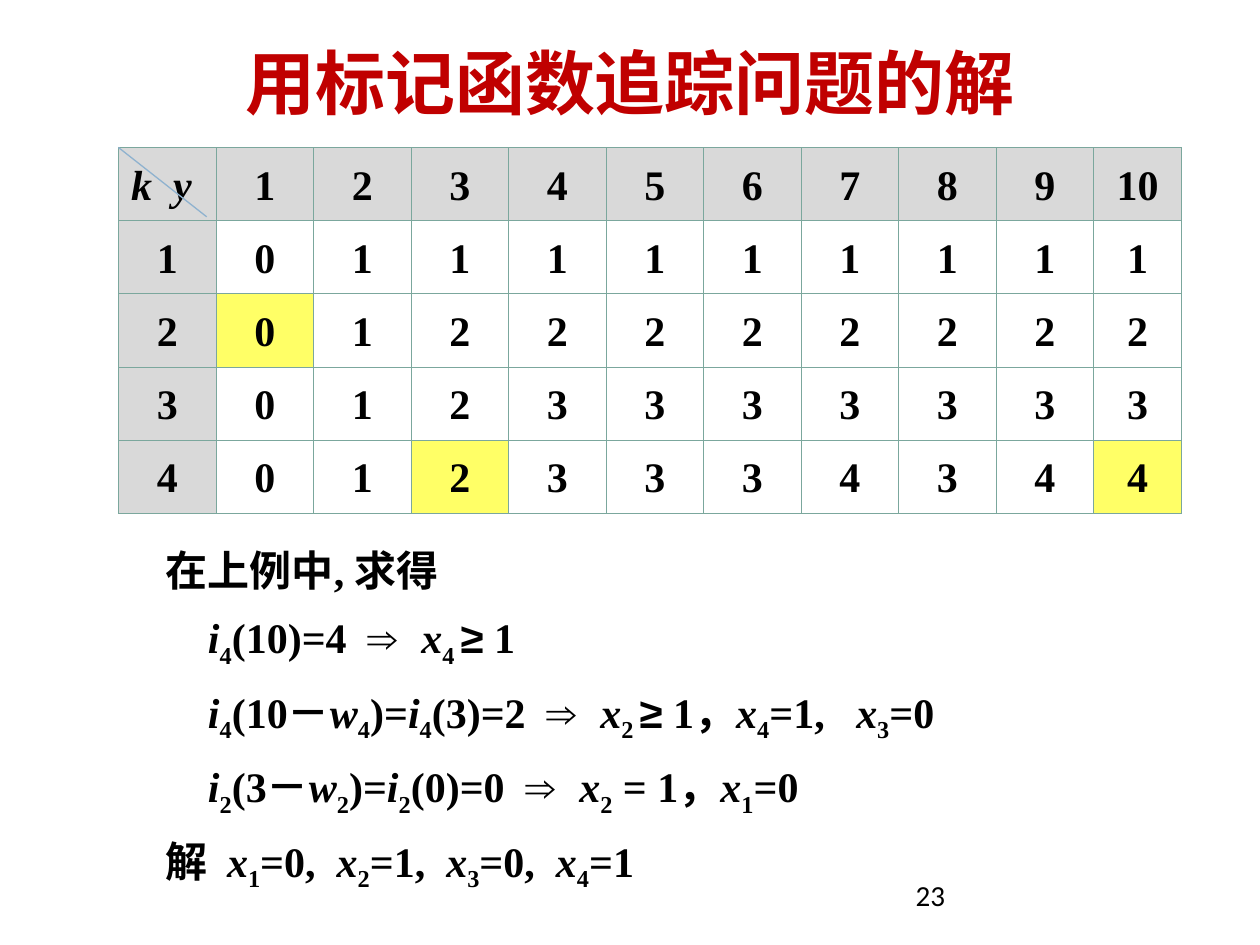
"""Build the slide that traces a knapsack solution with the marker function."""
from lxml.etree import SubElement
from pptx import Presentation
from pptx.dml.color import RGBColor
from pptx.enum.shapes import MSO_CONNECTOR
from pptx.enum.text import MSO_ANCHOR, PP_ALIGN
from pptx.oxml.ns import qn
from pptx.util import Pt

BLACK = RGBColor(0x00, 0x00, 0x00)
RED = RGBColor(0xC0, 0x00, 0x00)
GRAY = RGBColor(0xD9, 0xD9, 0xD9)
YELLOW = RGBColor(0xFF, 0xFF, 0x66)
GREEN = RGBColor(0x7B, 0xA7, 0x9D)
BLUE = RGBColor(0x8F, 0xB2, 0xCF)

TITLE = "用标记函数追踪问题的解"
PAGE_NUMBER = "23"
CORNER = "k  y"
MARKERS = [
    [0, 1, 1, 1, 1, 1, 1, 1, 1, 1],
    [0, 1, 2, 2, 2, 2, 2, 2, 2, 2],
    [0, 1, 2, 3, 3, 3, 3, 3, 3, 3],
    [0, 1, 2, 3, 3, 3, 4, 3, 4, 4],
]
TRACED = {(2, 1), (4, 3), (4, 10)}

# Each line is an indent and parts split by "|": "/" starts italics, "_" a subscript, "~" a symbol.
STEPS = [
    (0, "在上例中, 求得"),
    (24, "/i|_4|(10)=4  |~⇒  |/x|_4 |~≥| 1"),
    (24, "/i|_4|(10－|/w|_4|)=|/i|_4|(3)=2  |~⇒  |/x|_2 |~≥| 1，|/x|_4|=1,   |/x|_3|=0"),
    (24, "/i|_2|(3－|/w|_2|)=|/i|_2|(0)=0  |~⇒  |/x|_2| = 1，|/x|_1|=0"),
    (0, "解  |/x|_1|=0,  |/x|_2|=1,  |/x|_3|=0,  |/x|_4|=1"),
]

BODY = {"name": "Times New Roman", "size": Pt(24), "bold": True, "italic": False}
PART_FORMATS = {"/": {"italic": True}, "_": {}, "~": {"name": "Arial"}}
TITLE_FORMAT = {"name": "Calibri", "size": Pt(40), "bold": True}
NUMBER_FORMAT = {"name": "Calibri", "size": Pt(16.6)}

TABLE_LEFT, TABLE_TOP = 67.7, 84.3
COLUMN_WIDTHS = [55.75] * 10 + [50.2]
ROW_HEIGHT = 41.8


def add_run(paragraph, text, values, color=BLACK):
    run = paragraph.add_run()
    run.text = text
    for name, value in values.items():
        setattr(run.font, name, value)
    run.font.color.rgb = color
    return run


def add_text_frame(slide, left, top, width, height):
    frame = slide.shapes.add_textbox(Pt(left), Pt(top), Pt(width), Pt(height)).text_frame
    frame.word_wrap = True
    return frame


def add_title(slide):
    frame = add_text_frame(slide, 36, 21.6, 648, 49.7)
    frame.vertical_anchor = MSO_ANCHOR.MIDDLE
    paragraph = frame.paragraphs[0]
    paragraph.alignment = PP_ALIGN.CENTER
    add_run(paragraph, TITLE, TITLE_FORMAT, RED)


def add_page_number(slide):
    paragraph = add_text_frame(slide, 516.2, 500.4, 167.8, 28.8).paragraphs[0]
    paragraph.line_spacing = 0.9
    add_run(paragraph, PAGE_NUMBER, NUMBER_FORMAT)


def add_steps(slide):
    frame = add_text_frame(slide, 87.8, 298.8, 576, 215.3)
    for index, (indent, line) in enumerate(STEPS):
        paragraph = frame.add_paragraph() if index else frame.paragraphs[0]
        paragraph.line_spacing = 1.3
        paragraph._p.get_or_add_pPr().set("marL", str(Pt(indent)))
        for part in line.split("|"):
            mark = part[0]
            text = part[1:] if mark in PART_FORMATS else part
            run = add_run(paragraph, text, BODY | PART_FORMATS.get(mark, {}))
            if mark == "_":
                run.font._element.set("baseline", "-25000")


def add_borders(cell):
    properties = cell._tc.get_or_add_tcPr()
    for side in ("lnL", "lnR", "lnT", "lnB"):
        border = SubElement(properties, qn(f"a:{side}"), w=str(Pt(0.45)))
        fill = SubElement(border, qn("a:solidFill"))
        SubElement(fill, qn("a:srgbClr"), val=str(GREEN))


def add_marker_table(slide):
    rows = [[CORNER, *range(1, 11)]]
    rows += [[item, *values] for item, values in enumerate(MARKERS, 1)]
    table = slide.shapes.add_table(
        len(rows), len(COLUMN_WIDTHS), Pt(TABLE_LEFT), Pt(TABLE_TOP),
        Pt(sum(COLUMN_WIDTHS)), Pt(ROW_HEIGHT * len(rows))).table
    table.first_row = table.horz_banding = False
    for column, width in zip(table.columns, COLUMN_WIDTHS):
        column.width = Pt(width)
    for row_index, values in enumerate(rows):
        table.rows[row_index].height = Pt(ROW_HEIGHT)
        for column_index, value in enumerate(values):
            cell = table.cell(row_index, column_index)
            is_corner = value == CORNER
            paragraph = cell.text_frame.paragraphs[0]
            paragraph.alignment = PP_ALIGN.LEFT if is_corner else PP_ALIGN.CENTER
            paragraph.line_spacing = 1.2
            add_run(paragraph, str(value), BODY | {"italic": is_corner})
            add_borders(cell)
            is_header = row_index == 0 or column_index == 0
            if is_header or (row_index, column_index) in TRACED:
                cell.fill.solid()
                cell.fill.fore_color.rgb = GRAY if is_header else YELLOW
            else:
                cell.fill.background()


def add_corner_line(slide):
    line = slide.shapes.add_connector(
        MSO_CONNECTOR.STRAIGHT, Pt(TABLE_LEFT), Pt(TABLE_TOP),
        Pt(TABLE_LEFT + 50.4), Pt(TABLE_TOP + 39.6))
    line.line.color.rgb = BLUE
    line.line.width = Pt(0.75)
    SubElement(line._element.spPr, qn("a:effectLst"))


def main():
    presentation = Presentation()
    presentation.slide_width, presentation.slide_height = Pt(720), Pt(540)
    slide = presentation.slides.add_slide(presentation.slide_layouts[6])
    add_page_number(slide)
    add_steps(slide)
    add_marker_table(slide)
    add_title(slide)
    add_corner_line(slide)
    presentation.save("out.pptx")


if __name__ == "__main__":
    main()
